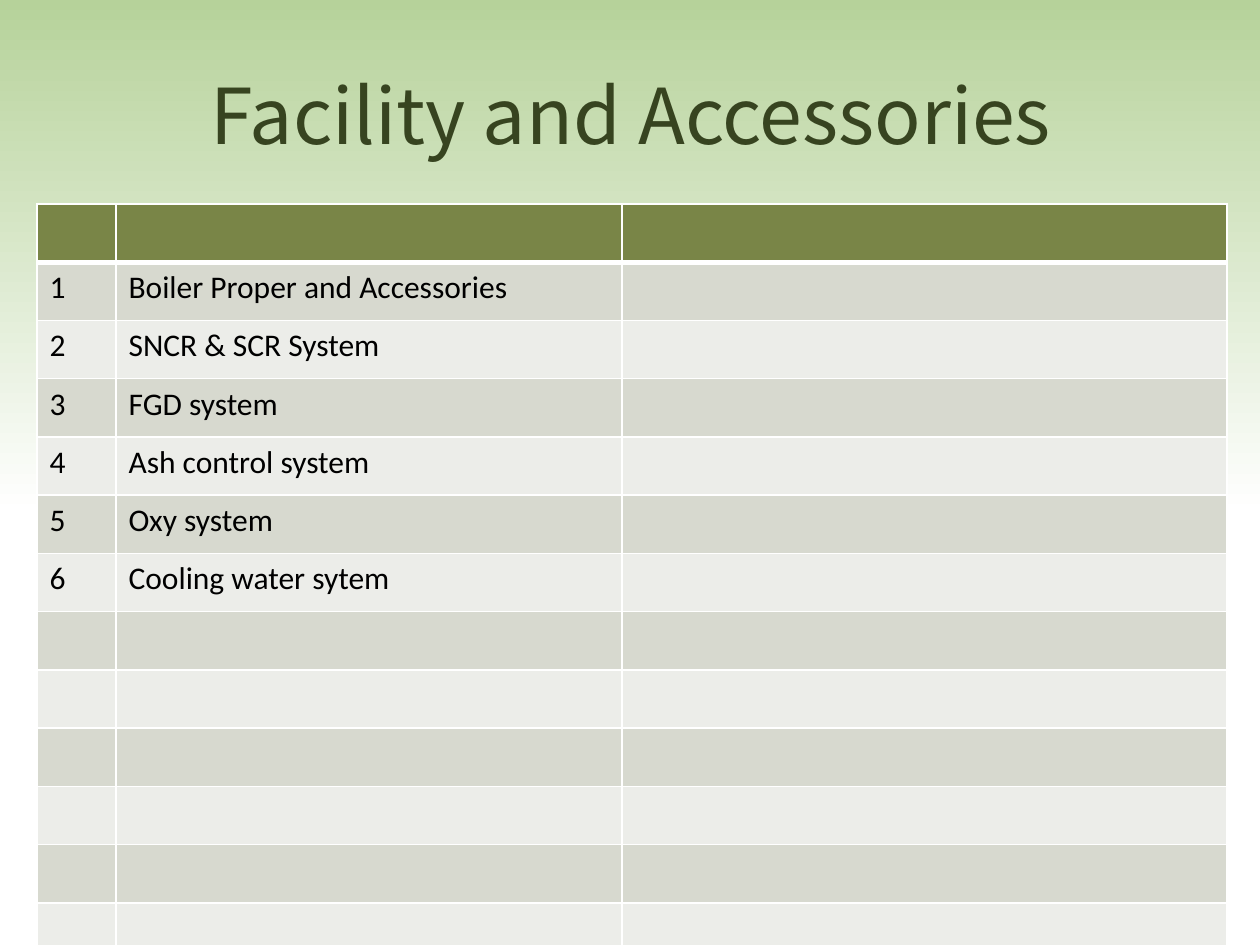
from lxml import etree
from pptx import Presentation
from pptx.dml.color import RGBColor
from pptx.enum.shapes import MSO_SHAPE
from pptx.enum.text import MSO_ANCHOR, PP_ALIGN
from pptx.oxml.ns import qn
from pptx.util import Pt

RECTANGLE = MSO_SHAPE.RECTANGLE
MIDDLE = MSO_ANCHOR.MIDDLE
CENTER = PP_ALIGN.CENTER

EMU_PER_PX = 914400 / 126
FONT = "Noto Sans CJK KR"
WHITE = "FFFFFF"
HEADER_FILL = "798547"
BAND_FILLS = ["ECEDE9", "D7D9CF"]
FACILITIES = [
    "Boiler Proper and Accessories",
    "SNCR & SCR System",
    "FGD system",
    "Ash control system",
    "Oxy system",
    "Cooling water sytem",
]
ROW_COUNT = 13
ROW_HEIGHT = 52
COLUMN_WIDTHS = [79, 506, 605]


def px(*lengths):
    return [round(length * EMU_PER_PX) for length in lengths]


def rgb(color):
    return RGBColor.from_string(color)


presentation = Presentation()
presentation.slide_width, presentation.slide_height = px(1260, 945)
slide = presentation.slides.add_slide(presentation.slide_layouts[5])

# Background gradient, behind the title
backdrop = slide.shapes.add_shape(RECTANGLE, *px(0, 0, 1260, 514))
backdrop.shadow.inherit = False
backdrop.line.fill.background()
backdrop.fill.gradient()
backdrop.fill.gradient_angle = 270
for stop, position, color in zip(backdrop.fill.gradient_stops, [0, 1], ["B6D29A", WHITE]):
    stop.position = position
    stop.color.rgb = rgb(color)
slide.shapes._spTree.insert(2, backdrop._element)

# Title
title = slide.shapes.title
title.left, title.top, title.width, title.height = px(64, 35, 1134, 158)
title.text_frame.text = "Facility and Accessories"
title.text_frame.vertical_anchor = MIDDLE
paragraph = title.text_frame.paragraphs[0]
paragraph.alignment = CENTER
paragraph.font.name = FONT
paragraph.font.size = Pt(44)
paragraph.font.color.rgb = rgb("374420")

# Facility table
table = slide.shapes.add_table(
    ROW_COUNT, len(COLUMN_WIDTHS),
    *px(37, 204, sum(COLUMN_WIDTHS), ROW_COUNT * ROW_HEIGHT)).table
table.first_row = False
table.horz_banding = False
for column, width in zip(table.columns, COLUMN_WIDTHS):
    column.width = px(width)[0]

for row_index, row in enumerate(table.rows):
    row.height = px(ROW_HEIGHT)[0]
    texts = ["", "", ""]
    if 1 <= row_index <= len(FACILITIES):
        texts = [str(row_index), FACILITIES[row_index - 1], ""]
    for cell, text in zip(row.cells, texts):
        # Text; an empty cell keeps the font so that rows stay equally high
        paragraph = cell.text_frame.paragraphs[0]
        if text:
            cell.text = text
            paragraph.font.name = FONT
            paragraph.font.size = Pt(18)
            paragraph.font.color.rgb = rgb("000000")
        else:
            end = etree.SubElement(paragraph._p, qn("a:endParaRPr"), sz="1800")
            etree.SubElement(end, qn("a:latin"), typeface=FONT)

        # Borders, thicker between header and body
        properties = cell._tc.get_or_add_tcPr()
        for side in ["L", "R", "T", "B"]:
            thick = (row_index, side) in [(0, "B"), (1, "T")]
            border = etree.SubElement(
                properties, qn(f"a:ln{side}"), w=str(Pt(3 if thick else 1)))
            solid = etree.SubElement(border, qn("a:solidFill"))
            etree.SubElement(solid, qn("a:srgbClr"), val=WHITE)

        # Header and band fills
        cell.fill.solid()
        cell.fill.fore_color.rgb = rgb(BAND_FILLS[row_index % 2] if row_index else HEADER_FILL)

presentation.save("out.pptx")
